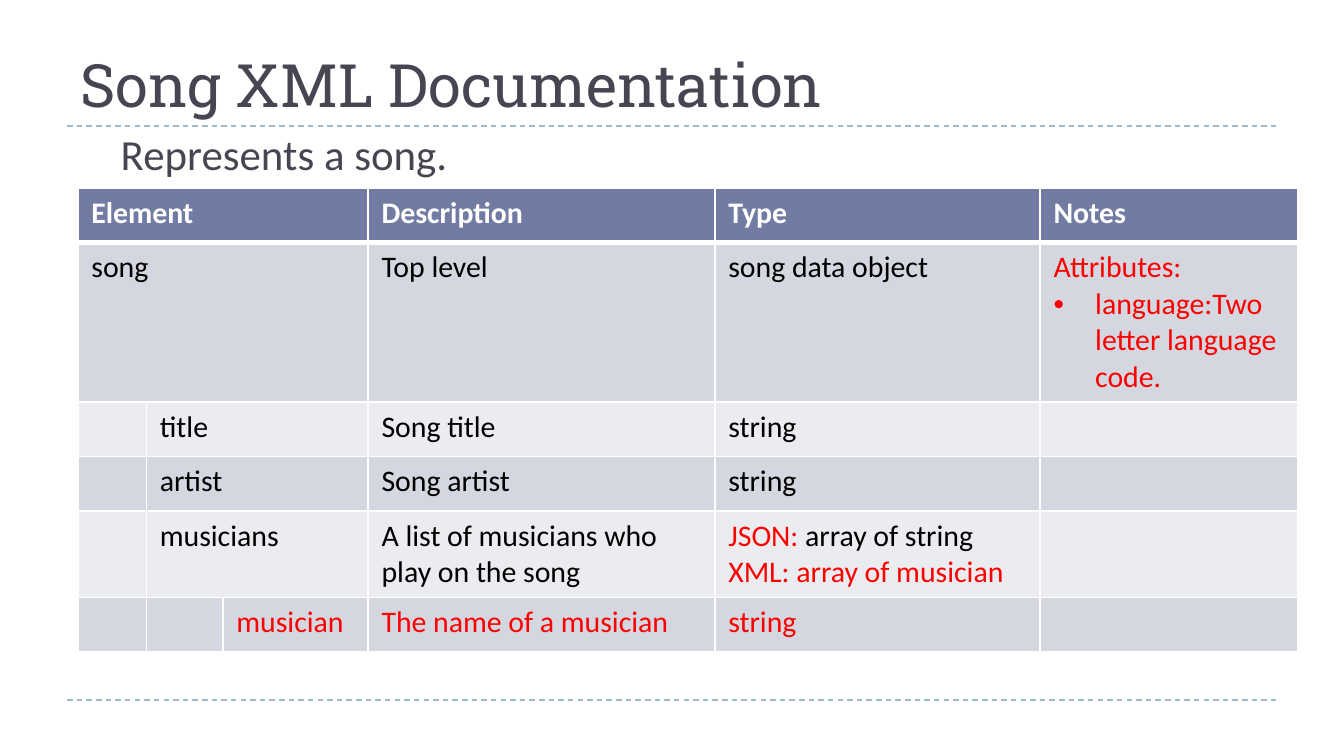
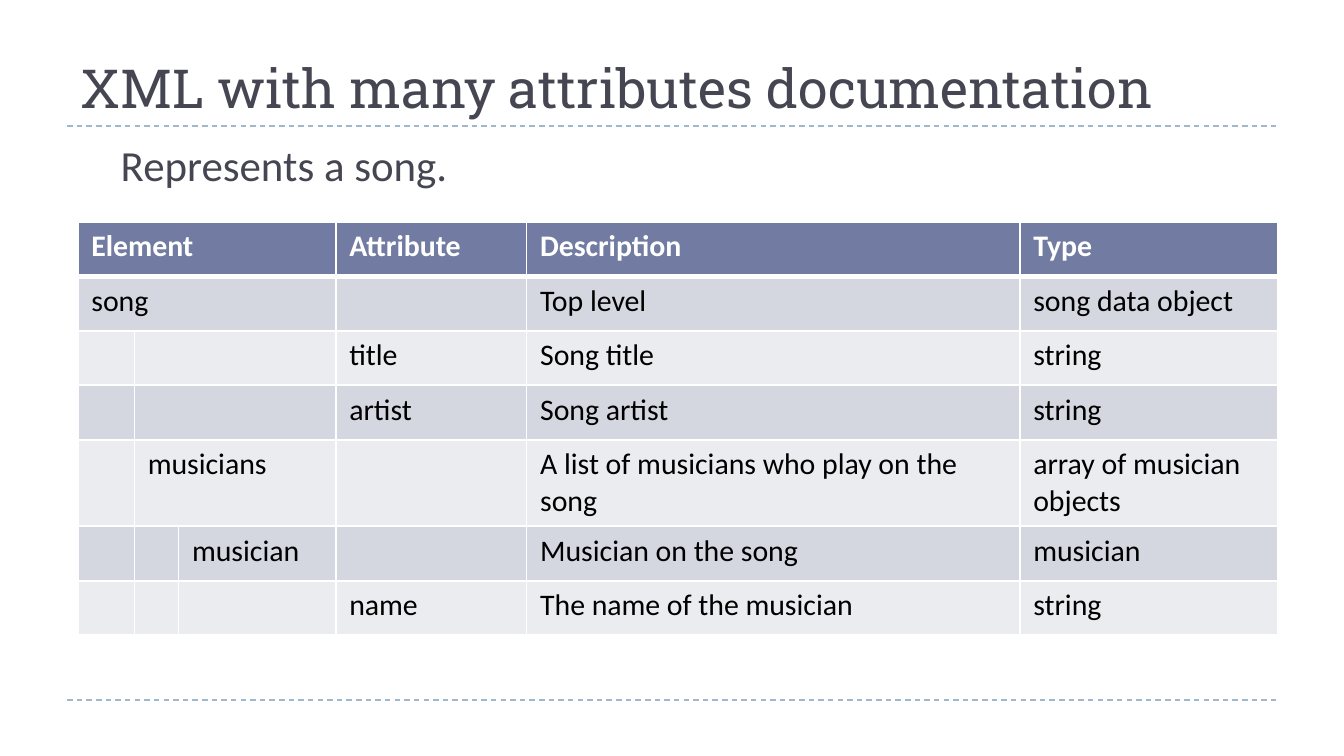
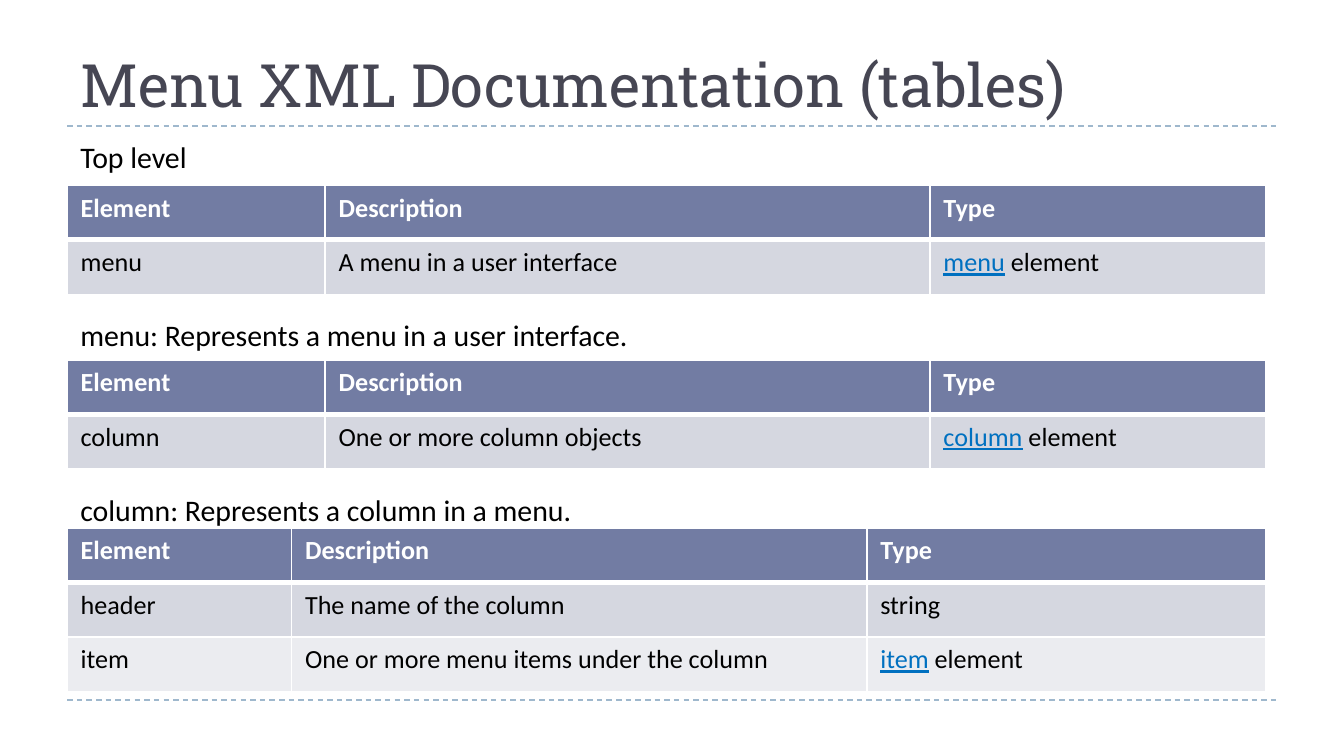
from lxml import etree
from pptx import Presentation
from pptx.dml.color import RGBColor
from pptx.enum.dml import MSO_LINE
from pptx.enum.shapes import MSO_CONNECTOR
from pptx.enum.text import MSO_ANCHOR, MSO_AUTO_SIZE, PP_ALIGN
from pptx.oxml.ns import qn
from pptx.util import Inches, Pt

DASH, STRAIGHT = MSO_LINE.DASH, MSO_CONNECTOR.STRAIGHT
BOTTOM, LEFT, FIXED = MSO_ANCHOR.BOTTOM, PP_ALIGN.LEFT, MSO_AUTO_SIZE.NONE
INK, RULE, HEAD, BANDS = "464653", "9FB8CD", "727CA3", ("D5D7E0", "EBECF0")
WHITE, BLACK, RED, LINK = "FFFFFF", "000000", "FF0000", "0070C0"
HEADFONT, FONT = "Roboto Slab", "Calibri"
SPAN = Inches(10)
TALL = SPAN * 9 // 16
EDGE, WIDE = 0.5, 9
ROW = Inches(0.73) // 18 * 10
SONG_LEFT = 0.58


def color(code):
    """Turn a hex string into a colour."""
    return RGBColor.from_string(code)


def add_run(para, text, size, code, font=FONT, bold=False, line=False):
    """Add one formatted run to a paragraph."""
    run = para.add_run()
    run.text = text
    run.font.size, run.font.name = Pt(size), font
    run.font.bold, run.font.underline = bold, line
    run.font.color.rgb = color(code)


def indent(para, left, first=0, bullet=None):
    """Set the indent of a paragraph, with a bullet if one is given."""
    props = para._p.get_or_add_pPr()
    props.set("marL", str(Inches(left)))
    props.set("indent", str(Inches(first)))
    if bullet:
        etree.SubElement(props, qn("a:buFont"), typeface="Arial")
        etree.SubElement(props, qn("a:buChar"), char=bullet)


def add_rule(slide, share):
    """Draw a dashed rule at a share of the slide's height."""
    top = int(TALL * share)
    rule = slide.shapes.add_connector(
        STRAIGHT, Inches(EDGE), top, Inches(EDGE + WIDE), top)
    rule.line.color.rgb = color(RULE)
    rule.line.width, rule.line.dash_style = Pt(0.75), DASH
    etree.SubElement(rule._element.spPr, qn("a:effectLst"))


def add_slide(deck, text, size=32):
    """Add a slide with the shared rules and title."""
    slide = deck.slides.add_slide(deck.slide_layouts[5])
    for share in (25 / 27, 1 / 6):
        add_rule(slide, share)
    title = slide.shapes.title
    title.left, title.top = Inches(EDGE), Inches(0.12)
    title.width, title.height = Inches(WIDE), Inches(0.82)
    frame = title.text_frame
    frame.vertical_anchor, frame.auto_size = BOTTOM, FIXED
    frame.paragraphs[0].alignment = LEFT
    add_run(frame.paragraphs[0], text, size, INK, HEADFONT)
    return slide


def add_text(slide, text, top, width, height, size, code):
    """Add a line of text and return its paragraph."""
    box = slide.shapes.add_textbox(
        Inches(EDGE), Inches(top), Inches(width), Inches(height))
    box.text_frame.word_wrap = True
    para = box.text_frame.paragraphs[0]
    add_run(para, text, size, code)
    return para


def add_lead(slide, top):
    """Add the indented line that introduces a song table."""
    para = add_text(slide, "Represents a song.", top, WIDE, 0.65, 23, INK)
    para.space_before = Pt(5)
    indent(para, 0.3)


def set_edges(cell, row):
    """Give a cell white borders, thick between head and body."""
    props = cell._tc.get_or_add_tcPr()
    widths = {"L": 1, "R": 1, "T": 3 if row == 1 else 1, "B": 1 if row else 3}
    for spot, (side, width) in enumerate(widths.items()):
        edge = etree.Element(qn("a:ln" + side), w=str(Pt(width)))
        fill = etree.SubElement(edge, qn("a:solidFill"))
        etree.SubElement(fill, qn("a:srgbClr"), val=WHITE)
        props.insert(spot, edge)


def fill_cell(cell, item, size, head):
    """Write a string, or paragraphs made of text and colour pairs."""
    base = WHITE if head else BLACK
    paras = [[(item, base)]] if isinstance(item, str) else item
    frame = cell.text_frame
    for spot, runs in enumerate(paras):
        para = frame.add_paragraph() if spot else frame.paragraphs[0]
        for text, code in runs:
            if text.startswith("•"):
                indent(para, 0.31, -0.31, "•")
                text = text[1:]
            add_run(para, text, size, code, bold=head, line=code == LINK)


def add_grid(slide, left, top, cols, rows, size):
    """Add a table where None joins a cell to the one on its left."""
    table = slide.shapes.add_table(
        len(rows), len(cols), Inches(left), Inches(top),
        Inches(sum(cols)), ROW * len(rows)).table
    for spot, width in enumerate(cols):
        table.columns[spot].width = Inches(width)
    for r, items in enumerate(rows):
        for c, item in enumerate(items):
            cell = table.cell(r, c)
            cell.fill.solid()
            cell.fill.fore_color.rgb = color(BANDS[(r - 1) % 2] if r else HEAD)
            set_edges(cell, r)
            if item:
                fill_cell(cell, item, size, r == 0)
        for c, item in enumerate(items):
            end = c
            while end + 1 < len(items) and items[end + 1] is None:
                end += 1
            if item is not None and end > c:
                table.cell(r, c).merge(table.cell(r, end))


def link(name):
    """Return a cell with a link-styled name of an element."""
    return [[(name, LINK), (" element", BLACK)]]


def red(text):
    """Return a cell of red text."""
    return [[(text, RED)]]


def song_slide(deck):
    """Build the slide on the song elements."""
    slide = add_slide(deck, "Song XML Documentation")
    notes = [[("Attributes: ", RED)],
             [("•language:Two letter language code.", RED)]]
    kinds = [[("JSON: ", RED), ("array of string", BLACK)],
             [("XML: array of musician", RED)]]
    add_grid(slide, SONG_LEFT, 1.4, (0.51, 0.57, 1.08, 2.58, 2.42, 1.92), [
        ("Element", None, None, "Description", "Type", "Notes"),
        ("song", None, None, "Top level ", "song data object", notes),
        ("", "title", None, "Song title", "string", ""),
        ("", "artist", None, "Song artist", "string", ""),
        ("", "musicians", None, "A list of musicians who play on the song",
         kinds, ""),
        ("", "", red("musician"), red("The name of a musician"),
         red("string"), ""),
    ], 16)
    add_lead(slide, 0.9)


def attr_slide(deck):
    """Build the slide on a song with many attributes."""
    slide = add_slide(deck, "XML with many attributes documentation", 28.8)
    add_grid(slide, SONG_LEFT, 1.65, (0.42, 0.33, 1.17, 1.42, 3.67, 1.92), [
        ("Element", None, None, "Attribute", "Description", "Type"),
        ("song", None, None, "", "Top level ", "song data object"),
        ("", "", None, "title", "Song title", "string"),
        ("", "", None, "artist", "Song artist", "string"),
        ("", "musicians", None, "",
         "A list of musicians who play on the song",
         "array of musician objects"),
        ("", "", "musician", "", "Musician on the song", "musician"),
        ("", "", "", "name", "The name of the musician", "string"),
    ], 16)
    add_lead(slide, 0.98)


def menu_slide(deck):
    """Build the slide with one captioned table per menu part."""
    slide = add_slide(deck, "Menu XML Documentation (tables)")
    head = ("Element", "Description", "Type")
    slim, broad = (1.92, 4.5, 2.5), (1.67, 4.28, 2.97)
    parts = [
        ("Top level", 0.98, 1.09, 1.38, slim,
         [("menu", "A menu in a user interface", link("menu"))]),
        ("menu: Represents a menu in a user interface.", 2.31, 4.76, 2.68,
         slim, [("column", "One or more column objects", link("column"))]),
        ("column: Represents a column in a menu.", 3.61, 4.34, 3.93, broad,
         [("header", "The name of the column", "string"),
          ("item", "One or more menu items under the column",
           link("item"))]),
    ]
    for text, top, width, start, cols, rows in parts:
        add_grid(slide, EDGE, start, cols, [head] + rows, 14)
        add_text(slide, text, top, width, 0.37, 16, BLACK)


def main():
    """Build and save the deck."""
    deck = Presentation()
    deck.slide_width, deck.slide_height = SPAN, TALL
    song_slide(deck)
    attr_slide(deck)
    menu_slide(deck)
    deck.save("out.pptx")


main()
